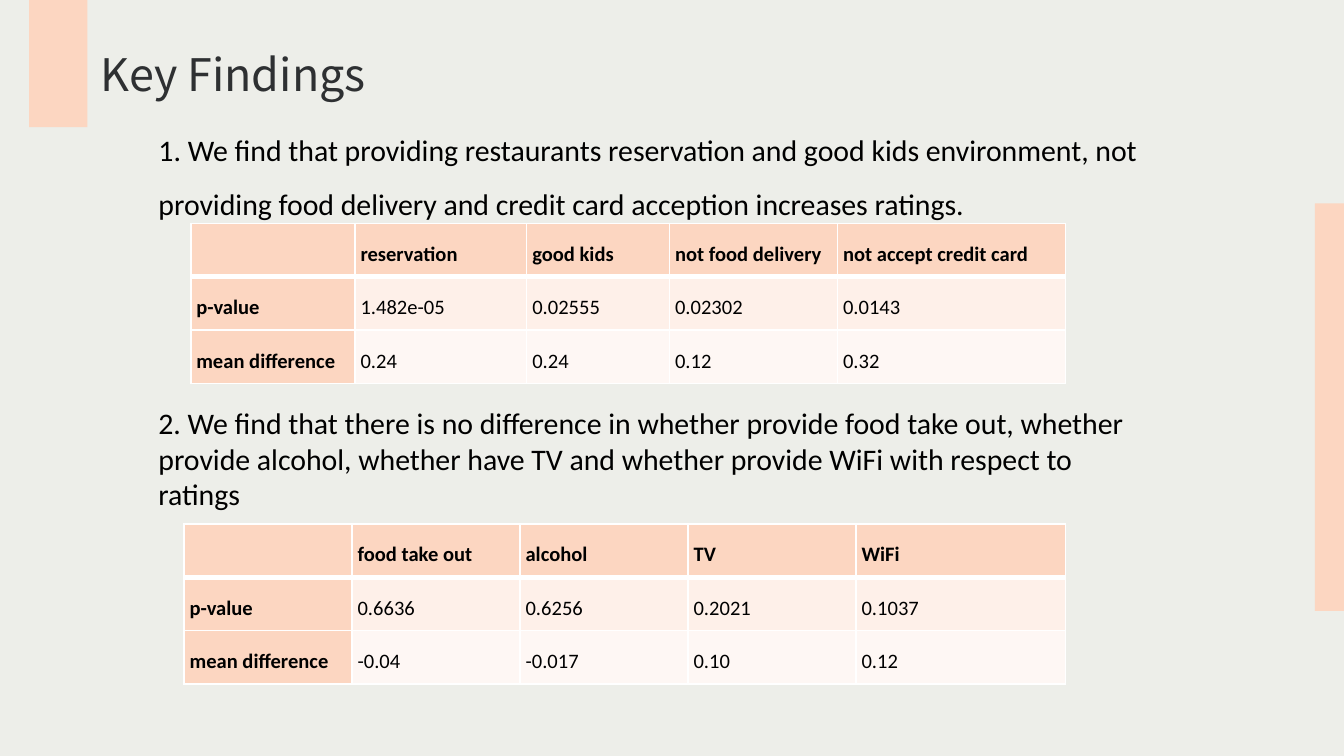
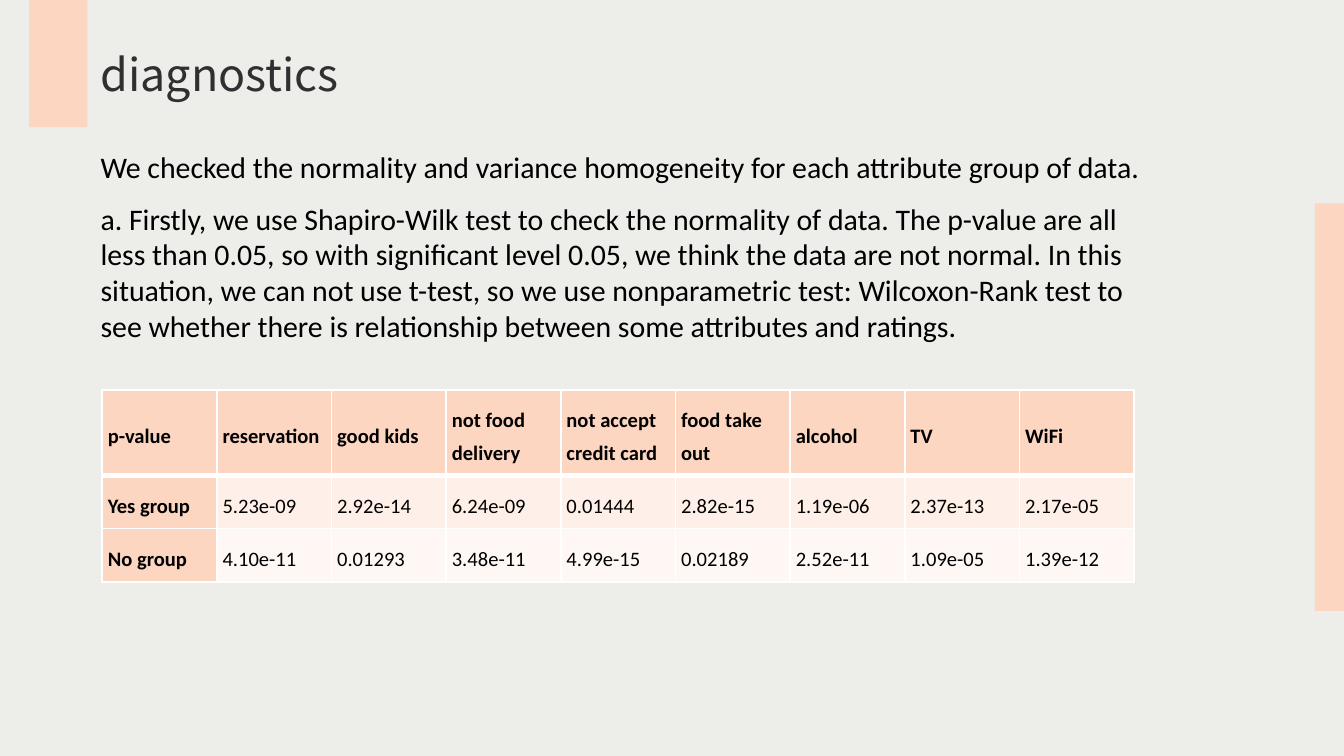
from lxml import etree
from pptx import Presentation
from pptx.dml.color import RGBColor
from pptx.enum.shapes import MSO_SHAPE
from pptx.enum.text import MSO_ANCHOR, MSO_AUTO_SIZE
from pptx.oxml.ns import qn
from pptx.util import Pt

RECTANGLE = MSO_SHAPE.RECTANGLE
MIDDLE = MSO_ANCHOR.MIDDLE
GROW = MSO_AUTO_SIZE.SHAPE_TO_FIT_TEXT

# Shared look
PAPER = RGBColor(0xED, 0xEE, 0xE9)
PEACH = RGBColor(0xFC, 0xD6, 0xC1)
PEACH_LIGHT = RGBColor(0xFE, 0xF0, 0xE9)
PEACH_PALE = RGBColor(0xFE, 0xF7, 0xF4)
CHARCOAL = RGBColor(0x2E, 0x30, 0x32)
BLACK = RGBColor(0, 0, 0)
WHITE = RGBColor(0xFF, 0xFF, 0xFF)

TITLE_FONT = "Noto Sans CJK SC"
BODY_FONT = "Calibri"
TITLE_SIZE, BODY_SIZE, TABLE_SIZE = 24, 16, 11
ROW_HEIGHT = 24
THIN, THICK = 1, 3
MARGIN_LEFT = 46.8

# Table contents
RATING_FACTORS = [
    ["", "reservation", "good kids", "not food delivery", "not accept credit card"],
    ["p-value", "1.482e-05", "0.02555", "0.02302", "0.0143"],
    ["mean difference", "0.24", "0.24", "0.12", "0.32"],
]
NEUTRAL_FACTORS = [
    ["", "food take out", "alcohol", "TV", "WiFi"],
    ["p-value", "0.6636", "0.6256", "0.2021", "0.1037"],
    ["mean difference", "-0.04", "-0.017", "0.10", "0.12"],
]
NORMALITY = [
    ["p-value", "reservation", "good kids", "not food delivery",
     "not accept credit card", "food take out", "alcohol", "TV", "WiFi"],
    ["Yes group", "5.23e-09", "2.92e-14", "6.24e-09", "0.01444",
     "2.82e-15", "1.19e-06", "2.37e-13", "2.17e-05"],
    ["No group", "4.10e-11", "0.01293", "3.48e-11", "4.99e-15",
     "0.02189", "2.52e-11", "1.09e-05", "1.39e-12"],
]


def add_text_run(paragraph, text, font, size, color, bold=False):
    run = paragraph.add_run()
    run.text = text
    run.font.name = font
    run.font.size = Pt(size)
    run.font.bold = bold
    run.font.color.rgb = color


def add_text(slide, text, left, top, width, height, font=BODY_FONT,
             size=BODY_SIZE, color=BLACK, wrap=True, spacing=None):
    box = slide.shapes.add_textbox(Pt(left), Pt(top), Pt(width), Pt(height))
    frame = box.text_frame
    frame.word_wrap = wrap
    frame.auto_size = GROW
    paragraph = frame.paragraphs[0]
    if spacing:
        paragraph.line_spacing = spacing
    add_text_run(paragraph, text, font, size, color)


def add_band(slide, left, top, width, height):
    band = slide.shapes.add_shape(RECTANGLE, Pt(left), Pt(top), Pt(width), Pt(height))
    band.shadow.inherit = False
    band.fill.solid()
    band.fill.fore_color.rgb = PEACH
    band.line.fill.background()


def add_titled_slide(prs, title, title_width):
    slide = prs.slides.add_slide(prs.slide_layouts[6])
    slide.background.fill.solid()
    slide.background.fill.fore_color.rgb = PAPER
    add_band(slide, 15.6, 0, 31.2, 68.2)
    add_band(slide, 704.4, 108.9, 15.6, 218.4)
    add_text(slide, title, MARGIN_LEFT, 21.6, title_width, 36,
             TITLE_FONT, TITLE_SIZE, CHARCOAL, wrap=False)
    return slide


def set_borders(cell, top, bottom):
    properties = cell._tc.get_or_add_tcPr()
    sides = [("L", THIN), ("R", THIN), ("T", top), ("B", bottom)]
    for position, (side, width) in enumerate(sides):
        line = etree.Element(qn(f"a:ln{side}"), w=str(Pt(width)))
        fill = etree.SubElement(line, qn("a:solidFill"))
        etree.SubElement(fill, qn("a:srgbClr"), val=str(WHITE))
        properties.insert(position, line)


def fill_cell(cell, text, row, column):
    is_heading = row == 0 or column == 0
    cell.fill.solid()
    cell.fill.fore_color.rgb = (
        PEACH if is_heading else PEACH_LIGHT if row == 1 else PEACH_PALE)
    cell.vertical_anchor = MIDDLE
    cell.margin_left = cell.margin_right = Pt(3)
    cell.margin_top = cell.margin_bottom = Pt(5.7)
    set_borders(cell, top=THICK if row == 1 else THIN,
                bottom=THICK if row == 0 else THIN)

    paragraph = cell.text_frame.paragraphs[0]
    paragraph.line_spacing = 1.3
    paragraph.space_after = Pt(3)
    if text:
        add_text_run(paragraph, text, BODY_FONT, TABLE_SIZE, BLACK, is_heading)
    else:
        # An empty cell keeps the row low through its end mark
        etree.SubElement(paragraph._p, qn("a:endParaRPr"), sz=str(TABLE_SIZE * 100))


def add_results_table(slide, results, left, top, widths):
    frame = slide.shapes.add_table(
        len(results), len(widths), Pt(left), Pt(top),
        Pt(sum(widths)), Pt(ROW_HEIGHT * len(results)))
    table = frame.table
    for column, width in zip(table.columns, widths):
        column.width = Pt(width)
    for row, values in enumerate(results):
        for column, value in enumerate(values):
            fill_cell(table.cell(row, column), value, row, column)


def build_findings(prs):
    slide = add_titled_slide(prs, "Key Findings", 157)
    add_text(slide,
             "1. We find that providing restaurants reservation and good kids "
             "environment, not providing food delivery and credit card acception "
             "increases ratings.",
             77.8, 57.6, 566, 82.8, spacing=1.5)
    add_results_table(slide, RATING_FACTORS, 102.2, 119.8, [88, 92, 76.5, 90, 122.2])
    add_text(slide,
             "2. We find that there is no difference in whether provide food take "
             "out, whether provide alcohol, whether have TV and whether provide "
             "WiFi with respect to ratings",
             77.8, 213.1, 535, 87.1)
    add_results_table(slide, NEUTRAL_FACTORS, 98.6, 280.6, [90] * 4 + [112.3])


def build_diagnostics(prs):
    slide = add_titled_slide(prs, "diagnostics", 152.6)
    add_text(slide,
             "We checked the normality and variance homogeneity for each "
             "attribute group of data.",
             MARGIN_LEFT, 76.3, 579.6, 26.6)
    add_text(slide,
             "a. Firstly, we use Shapiro-Wilk test to check the normality of data. "
             "The p-value are all less than 0.05, so with significant level 0.05, "
             "we think the data are not normal. In this situation, we can not use "
             "t-test, so we use nonparametric test: Wilcoxon-Rank test to see "
             "whether there is relationship between some attributes and ratings.",
             MARGIN_LEFT, 103.7, 569.5, 85)
    add_results_table(slide, NORMALITY, 54.8, 208.9, [61.44] * len(NORMALITY[0]))


def main():
    prs = Presentation()
    prs.slide_width = Pt(720)
    prs.slide_height = Pt(405)
    build_findings(prs)
    build_diagnostics(prs)
    prs.save("out.pptx")


if __name__ == "__main__":
    main()
